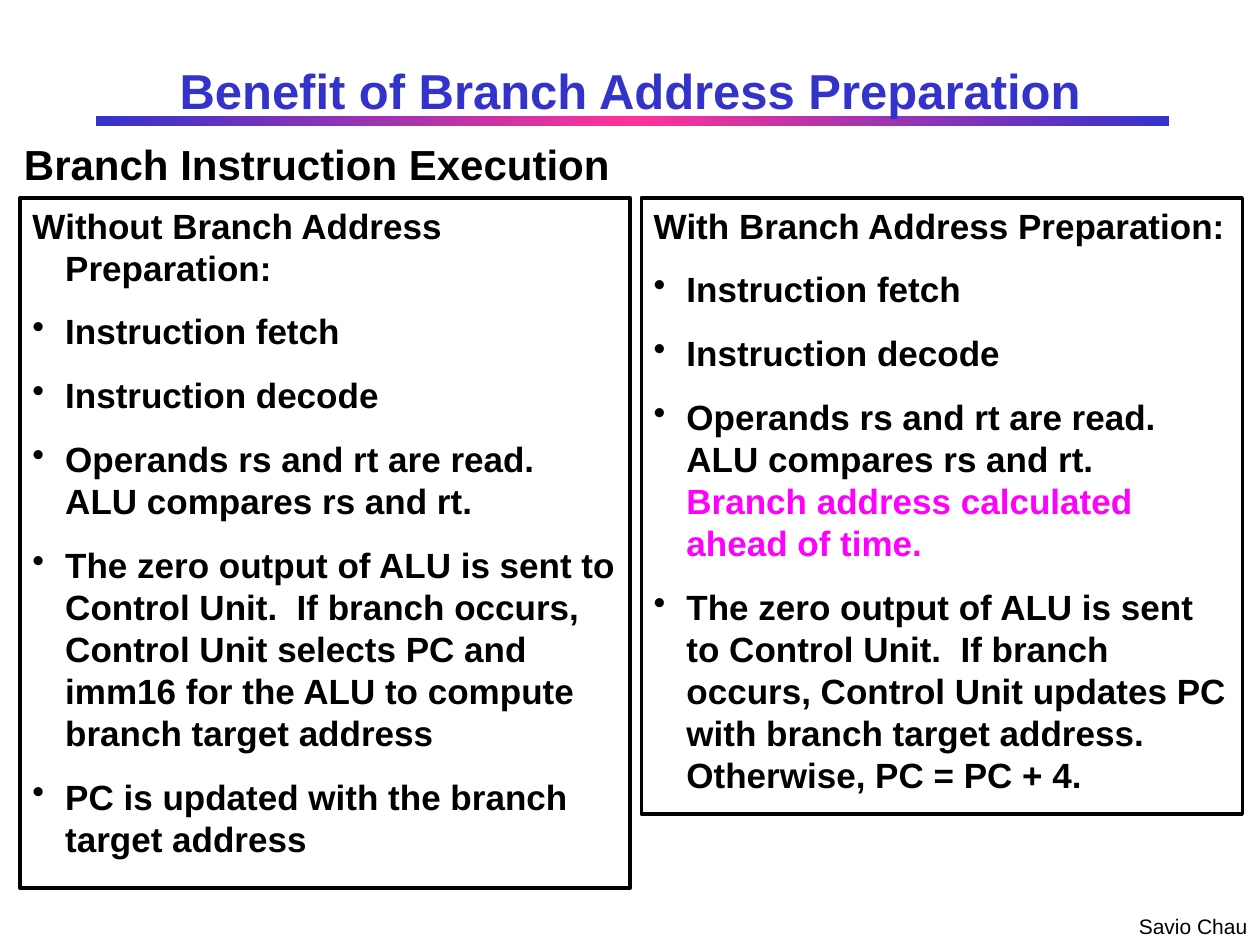
"""Build the slide comparing branch execution with and without address preparation."""
from copy import deepcopy

from pptx import Presentation
from pptx.dml.color import RGBColor
from pptx.enum.shapes import MSO_SHAPE
from pptx.enum.text import MSO_ANCHOR, PP_ALIGN
from pptx.oxml.ns import qn
from pptx.oxml.xmlchemy import OxmlElement
from pptx.util import Inches, Pt

RECTANGLE = MSO_SHAPE.RECTANGLE
MIDDLE, TOP = MSO_ANCHOR.MIDDLE, MSO_ANCHOR.TOP
LEFT, CENTER = PP_ALIGN.LEFT, PP_ALIGN.CENTER
BLACK = RGBColor(0x00, 0x00, 0x00)
BLUE = RGBColor(0x33, 0x33, 0xCC)
PINK = RGBColor(0xFF, 0x33, 0x99)
MAGENTA = RGBColor(0xFF, 0x00, 0xFF)
HANG = Inches(0.26)

TITLE = "Benefit of Branch Address Preparation"
SUBTITLE = "Branch Instruction Execution"
AUTHOR = "Savio Chau"
FIRST_STEPS = [[("Instruction fetch", BLACK)], [("Instruction decode", BLACK)]]
WITHOUT = [
    [("Without Branch Address Preparation:", BLACK)],
    *FIRST_STEPS,
    [("Operands rs and rt are read.  ALU compares rs and rt.", BLACK)],
    [("The zero output of ALU is sent to Control Unit.  If branch occurs, Control Unit "
      "selects PC and imm16 for the ALU to compute branch target address", BLACK)],
    [("PC is updated with the branch target address", BLACK)],
]
WITH = [
    [("With Branch Address Preparation:", BLACK)],
    *FIRST_STEPS,
    [("Operands rs and rt are read.  ALU compares rs and rt.  ", BLACK),
     ("Branch address calculated ahead of time.", MAGENTA)],
    [("The zero output of ALU is sent to Control Unit.  If branch occurs, Control Unit "
      "updates PC with branch target address.  Otherwise, PC = PC + 4.", BLACK)],
]
PANEL_TOP = 1.57
PANELS = [(0.16, 4.84, 5.48, WITHOUT), (5.09, 4.77, 4.89, WITH)]


def area(*lengths):
    return [Inches(length) for length in lengths]


def hang_paragraph(para, bulleted):
    properties = para._p.get_or_add_pPr()
    properties.set("marL", str(HANG))
    properties.set("indent", str(-HANG))
    if bulleted:
        bullet = OxmlElement("a:buChar")
        bullet.set("char", "•")
        properties.append(bullet)


def write(box, paragraphs, size, bold=True, align=LEFT, anchor=TOP,
          wrap=True, margins=(0.1, 0.05), listed=False):
    frame = box.text_frame
    frame.word_wrap = wrap
    frame.vertical_anchor = anchor
    frame.margin_left = frame.margin_right = Inches(margins[0])
    frame.margin_top = frame.margin_bottom = Inches(margins[1])
    for index, spans in enumerate(paragraphs):
        para = frame.add_paragraph() if index else frame.paragraphs[0]
        para.alignment = align
        if listed:
            hang_paragraph(para, bulleted=index > 0)
        para.space_before = Pt(12.5 if index else 0)
        for text, color in spans:
            span = para.add_run()
            span.text = text
            span.font.name = "Arial"
            span.font.size = Pt(size)
            span.font.bold = bold
            span.font.color.rgb = color


def add_bar(page):
    bar = page.shapes.add_shape(RECTANGLE, *area(0.76, 0.92, 8.52, 0.08))
    bar.shadow.inherit = False
    bar.line.fill.background()
    bar.fill.gradient()
    bar.fill.gradient_angle = 0
    stops = bar.element.spPr.find(qn("a:gradFill")).find(qn("a:gsLst"))
    stops.append(deepcopy(stops[0]))
    for stop, position, color in zip(bar.fill.gradient_stops, (0, 0.5, 1), (BLUE, PINK, BLUE)):
        stop.position = position
        stop.color.rgb = color
    return bar


def main():
    deck = Presentation()
    deck.slide_width, deck.slide_height = Inches(10), Inches(7.5)
    page = deck.slides.add_slide(deck.slide_layouts[5])

    title = page.shapes.title
    title.left, title.top, title.width, title.height = area(0.75, 0.42, 8.5, 0.58)
    write(title, [[(TITLE, BLUE)]], 28, align=CENTER, anchor=MIDDLE)
    title.element.addprevious(add_bar(page).element)

    for left, width, height, paragraphs in PANELS:
        panel = page.shapes.add_shape(RECTANGLE, *area(left, PANEL_TOP, width, height))
        panel.shadow.inherit = False
        panel.fill.background()
        panel.line.color.rgb = BLACK
        panel.line.width = Pt(2)
        write(panel, paragraphs, 20, listed=True)

    subtitle = page.shapes.add_textbox(*area(0.19, 1.1, 4.65, 0.4))
    write(subtitle, [[(SUBTITLE, BLACK)]], 24, wrap=False, margins=(0, 0))
    author = page.shapes.add_textbox(*area(8.94, 7.2, 1.06, 0.3))
    write(author, [[(AUTHOR, BLACK)]], 12, bold=False, wrap=False)
    deck.save("out.pptx")


if __name__ == "__main__":
    main()
